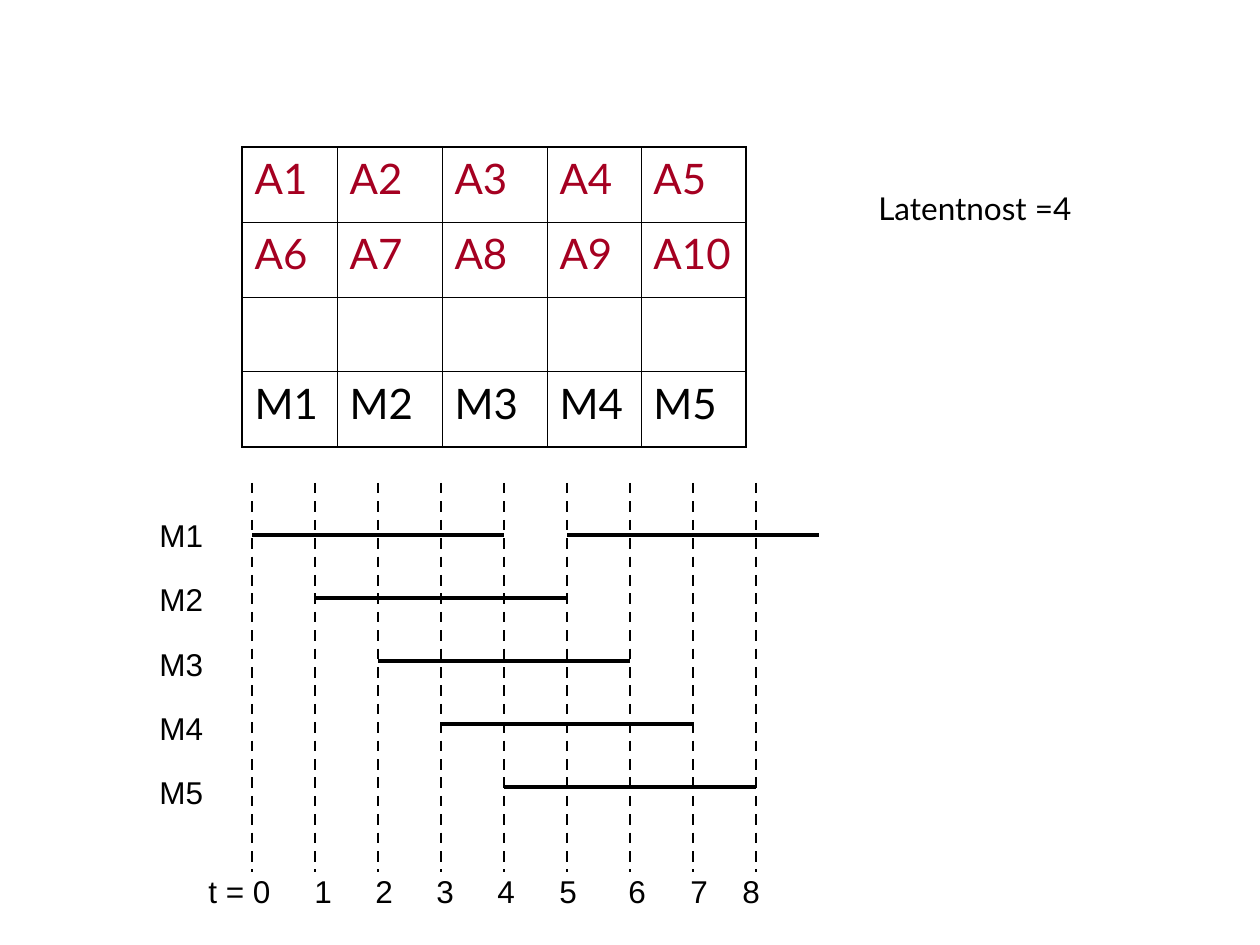
from dataclasses import dataclass

from lxml.etree import SubElement
from pptx import Presentation
from pptx.dml.color import RGBColor
from pptx.enum.dml import MSO_LINE
from pptx.enum.shapes import MSO_CONNECTOR
from pptx.enum.text import MSO_ANCHOR
from pptx.oxml.ns import qn
from pptx.util import Pt

PX = 914400 / 126  # EMU per px


@dataclass
class Theme:
    black: str = "000000"
    red: str = "A50021"
    heading_font: str = "Lato"
    label_font: str = "Arial"
    cell_size: int = 24
    label_size: int = 18
    outer_border: float = 1.08
    inner_border: float = 0.45
    bar_width: float = 2.25
    tick_width: float = 1.5


theme = Theme()


def write_text(frame, text, *, font, size, color, spacing=None, tabs=()):
    """Fill a text frame, one paragraph per line of text."""
    frame.word_wrap = True
    for index, line in enumerate(text.split("\n")):
        para = frame.add_paragraph() if index else frame.paragraphs[0]
        if spacing:
            para.line_spacing = spacing
        if tabs:
            tab_list = SubElement(para._p.get_or_add_pPr(), qn("a:tabLst"))
            for stop in tabs:
                SubElement(tab_list, qn("a:tab"), pos=str(round(stop * PX)), algn="l")
        span = para.add_run()
        span.text = line
        span.font.name = font
        span.font.size = Pt(size)
        span.font.color.rgb = RGBColor.from_string(color)


def add_line(page, x1, y1, x2, y2, width, dash=None):
    ends = [round(value * PX) for value in (x1, y1, x2, y2)]
    line = page.shapes.add_connector(MSO_CONNECTOR.STRAIGHT, *ends)
    line.line.color.rgb = RGBColor.from_string(theme.black)
    line.line.width = Pt(width)
    if dash:
        line.line.dash_style = dash
    SubElement(line._element.spPr, qn("a:effectLst"))


deck = Presentation()
deck.slide_width = round(1260 * PX)
deck.slide_height = round(945 * PX)
page = deck.slides.add_slide(deck.slide_layouts[6])

# Memory module table
rows = [
    ["A1", "A2", "A3", "A4", "A5"],
    ["A6", "A7", "A8", "A9", "A10"],
    [""] * 5,
    ["M1", "M2", "M3", "M4", "M5"],
]
column_widths = [95, 105, 105, 94, 105]
row_height = 75
last_row, last_column = len(rows) - 1, len(column_widths) - 1
table_box = [round(value * PX) for value in (242, 147, sum(column_widths), row_height * len(rows))]
table = page.shapes.add_table(len(rows), len(column_widths), *table_box).table
table.first_row = False
table.horz_banding = False
for column, width in zip(table.columns, column_widths):
    column.width = round(width * PX)
for r, labels in enumerate(rows):
    table.rows[r].height = round(row_height * PX)
    for c, label in enumerate(labels):
        cell = table.cell(r, c)
        if label:
            write_text(cell.text_frame, label, font=theme.heading_font, size=theme.cell_size,
                       color=theme.black if r == last_row else theme.red)
        outer_edges = {"lnL": c == 0, "lnR": c == last_column, "lnT": r == 0, "lnB": r == last_row}
        for edge, is_outer in outer_edges.items():
            width = theme.outer_border if is_outer else theme.inner_border
            border = SubElement(cell._tc.get_or_add_tcPr(), qn(f"a:{edge}"), w=str(Pt(width)))
            fill = SubElement(border, qn("a:solidFill"))
            SubElement(fill, qn("a:srgbClr"), val=theme.black)
        cell.fill.background()

# Access bars: each module starts one step later and is busy for the latency
origin, step, latency = 252, 63, 4
starts = [(0, 0), (1, 1), (2, 2), (3, 3), (4, 4), (0, 5)]
for module, start in starts:
    left = origin + start * step
    top = 535 + module * step
    add_line(page, left, top, left + latency * step, top, theme.bar_width)

# Time grid
for tick in range(9):
    left = origin + tick * step
    add_line(page, left, 483, left, 872, theme.tick_width, dash=MSO_LINE.DASH)

# Labels: text, left, top, width, height, font, extra format
time_stops = [106, 167, 228, 289, 351, 420, 482, 534]
time_text = "t = 0\t" + "\t".join(str(tick) for tick in range(1, 9))
texts = [
    ("\n".join(rows[last_row]), 147, 483, 77, 334, theme.label_font, {"spacing": 1.7}),
    (time_text, 196, 866, 577, 50, theme.label_font, {"tabs": time_stops}),
    ("Latentnost =4", 866, 183, 228, 50, theme.heading_font, {}),
]
for text, left, top, width, height, font, extra in texts:
    box = page.shapes.add_textbox(*[round(value * PX) for value in (left, top, width, height)])
    box.text_frame.vertical_anchor = MSO_ANCHOR.BOTTOM
    write_text(box.text_frame, text, font=font, size=theme.label_size, color=theme.black, **extra)

deck.save("out.pptx")
